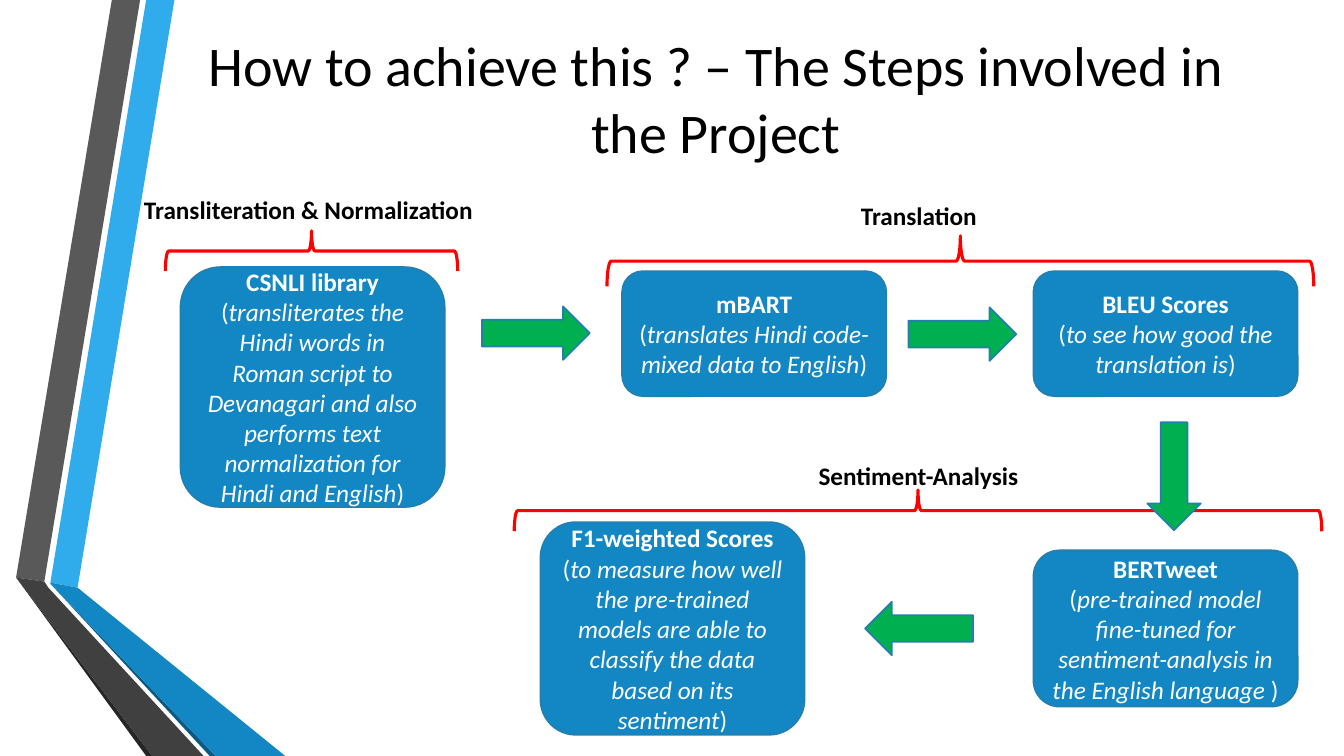
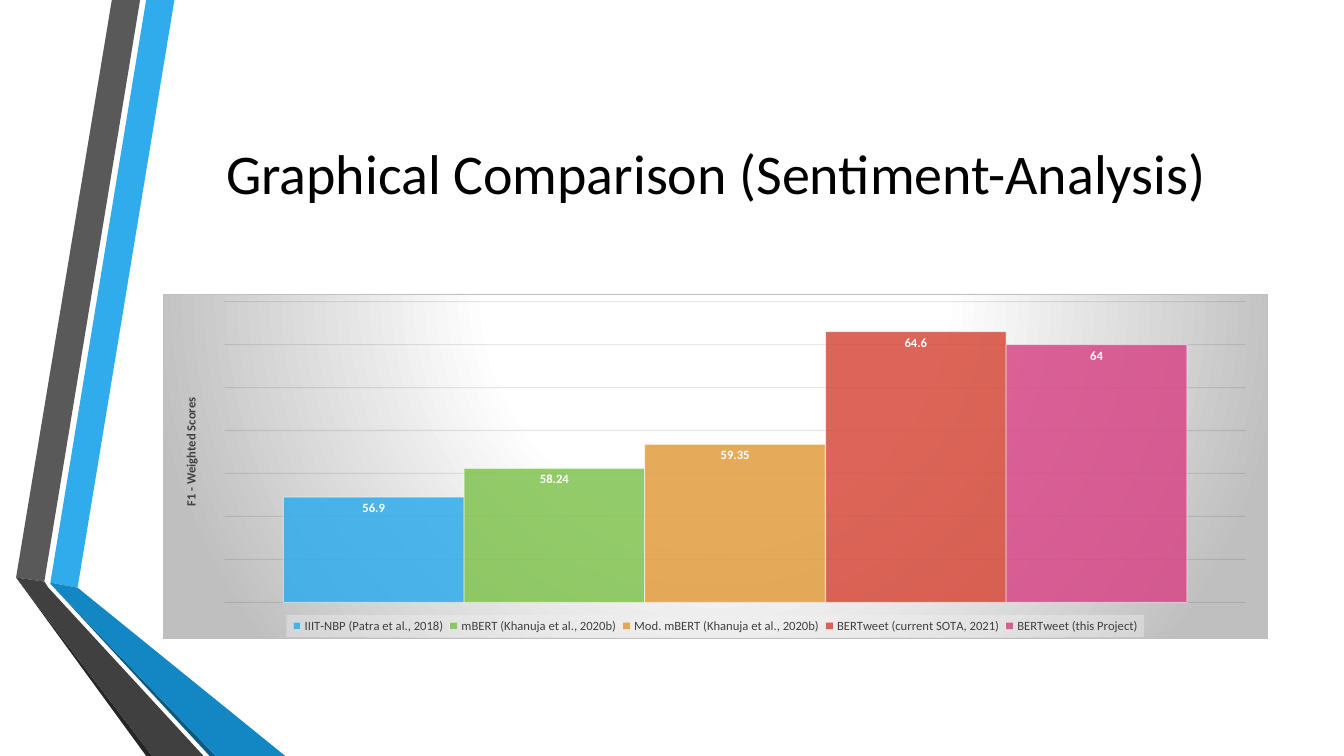
import pptx
import pptx.chart.data
import pptx.dml.color
import pptx.enum.chart
import pptx.enum.shapes
import pptx.enum.text
import pptx.oxml
import pptx.oxml.ns
import pptx.util
from pptx.util import Inches

RGBColor = pptx.dml.color.RGBColor
Shape = pptx.enum.shapes.MSO_SHAPE
Align = pptx.enum.text.PP_ALIGN
qn = pptx.oxml.ns.qn

BLACK = RGBColor(0x00, 0x00, 0x00)
WHITE = RGBColor(0xFF, 0xFF, 0xFF)
CHARCOAL = RGBColor(0x40, 0x40, 0x40)
NEAR_BLACK = RGBColor(0x0D, 0x0D, 0x0D)
DARK_GREY = RGBColor(0x26, 0x26, 0x26)
MID_GREY = RGBColor(0x59, 0x59, 0x59)
SKY = RGBColor(0x30, 0xAC, 0xEC)
BLUE = RGBColor(0x12, 0x87, 0xC3)
NAVY = RGBColor(0x0C, 0x5A, 0x82)
OUTLINE = RGBColor(0x24, 0x7F, 0xAF)
GREEN = RGBColor(0x00, 0xB0, 0x50)
RED = RGBColor(0xFF, 0x00, 0x00)
LIME = RGBColor(0x80, 0xC3, 0x4F)
ORANGE = RGBColor(0xE2, 0x9D, 0x3E)
BRICK = RGBColor(0xD6, 0x4A, 0x3B)
PINK = RGBColor(0xD6, 0x47, 0x87)

FONT = "Calibri"
TITLE_FORMAT = {"size": pptx.util.Pt(40)}
BOLD_FORMAT = {"size": pptx.util.Pt(18), "bold": True}
PLAIN_FORMAT = {"size": pptx.util.Pt(18)}
ITALIC_FORMAT = {"size": pptx.util.Pt(18), "italic": True}

RIBBONS = [
    (SKY, [(0.5, 5.78), (0.77, 5.83), (1.73, 0), (1.45, 0)]),
    (MID_GREY, [(1.39, 0), (1.11, 0), (0.16, 5.73), (0.44, 5.77)]),
    (DARK_GREY, [(0.16, 5.73), (1.45, 7.5), (1.51, 7.5)]),
    (NAVY, [(0.5, 5.79), (2.08, 7.5), (2.14, 7.5)]),
    (BLUE, [(0.5, 5.79), (2.14, 7.5), (2.83, 7.5), (0.77, 5.83), (0.5, 5.78)]),
    (CHARCOAL, [(2.02, 7.5), (0.48, 5.83), (0.44, 5.77), (0.16, 5.73), (1.51, 7.5)]),
]
CONTENT_LEFT, CONTENT_WIDTH = Inches(1.62), Inches(10.96)


def paint(shape, fill=None, line=None, weight=1.25):
    """Give a shape a flat fill and outline; None leaves that part empty."""
    shape.shadow.inherit = False
    if fill is None:
        shape.fill.background()
    else:
        shape.fill.solid()
        shape.fill.fore_color.rgb = fill
    if line is None:
        shape.line.fill.background()
    else:
        shape.line.color.rgb = line
        shape.line.width = pptx.util.Pt(weight)


def write(frame, lines, color, align):
    """Write lines, each a list of (text, format values) spans."""
    for index, spans in enumerate(lines):
        para = frame.paragraphs[0] if index == 0 else frame.add_paragraph()
        para.alignment = align
        for text, values in spans:
            span = para.add_run()
            span.text = text
            span.font.name = FONT
            span.font.color.rgb = color
            for name, value in values.items():
                setattr(span.font, name, value)


deck = pptx.Presentation()
deck.slide_width, deck.slide_height = Inches(13.33), Inches(7.5)

# Shared ribbons and titles
pages = []
for title, top in [
    ("How to achieve this ? – The Steps involved in the Project", 0.01),
    ("Graphical Comparison (Sentiment-Analysis)", 0.75),
]:
    page = deck.slides.add_slide(deck.slide_layouts[6])
    for color, corners in RIBBONS:
        points = [(Inches(x), Inches(y)) for x, y in corners]
        outline = page.shapes.build_freeform(*points[0], scale=1.0)
        outline.add_line_segments(points[1:], close=True)
        paint(outline.convert_to_shape(), color)
    box = page.shapes.add_textbox(CONTENT_LEFT, Inches(top), CONTENT_WIDTH, Inches(1.92))
    box.text_frame.word_wrap = True
    box.text_frame.vertical_anchor = pptx.enum.text.MSO_ANCHOR.MIDDLE
    write(box.text_frame, [[(title, TITLE_FORMAT)]], BLACK, Align.CENTER)
    pages.append(page)
steps_page, chart_page = pages

# Steps of the project
for left, top, height, name, detail in [
    (6.17, 2.69, 1.24, "mBART", "translates Hindi code-mixed data to English"),
    (1.79, 2.65, 2.38, "CSNLI library",
     "transliterates the Hindi words in Roman script to Devanagari and also "
     "performs text normalization for Hindi and English"),
    (10.25, 2.69, 1.24, "BLEU Scores", "to see how good the translation is"),
    (10.25, 5.46, 1.55, "BERTweet",
     "pre-trained model fine-tuned for sentiment-analysis in the English language "),
    (5.36, 5.18, 2.11, "F1-weighted Scores",
     "to measure how well the pre-trained models are able to classify the data "
     "based on its sentiment"),
]:
    step = steps_page.shapes.add_shape(
        Shape.ROUNDED_RECTANGLE, Inches(left), Inches(top), Inches(2.62), Inches(height))
    paint(step, BLUE, OUTLINE)
    step.text_frame.word_wrap = True
    step.text_frame.vertical_anchor = pptx.enum.text.MSO_ANCHOR.MIDDLE
    description = [("(", PLAIN_FORMAT), (detail, ITALIC_FORMAT), (")", PLAIN_FORMAT)]
    write(step.text_frame, [[(name, BOLD_FORMAT)], description], WHITE, Align.CENTER)

# Stage braces, given by their upright extent and turned to point up
for left, top, span_width, depth in [
    (1.64, 2.29, 2.9, 0.4),
    (5.1, 4.86, 8.01, 0.41),
    (6.02, 2.34, 7.01, 0.5),
]:
    shift = (span_width - depth) / 2
    brace = steps_page.shapes.add_shape(
        Shape.RIGHT_BRACE, Inches(left + shift), Inches(top - shift),
        Inches(depth), Inches(span_width))
    brace.rotation = 270
    paint(brace, line=RED, weight=2.25)

for left, top, width, label in [
    (1.33, 1.88, 3.66, "Transliteration & Normalization"),
    (8.44, 1.94, 1.43, "Translation"),
    (8.02, 4.52, 2.21, "Sentiment-Analysis"),
]:
    box = steps_page.shapes.add_textbox(
        Inches(left), Inches(top), Inches(width), Inches(0.4))
    box.text_frame.word_wrap = False
    write(box.text_frame, [[(label, BOLD_FORMAT)]], BLACK, Align.LEFT)

for kind, left, top, width, height, angle in [
    (Shape.RIGHT_ARROW, 4.78, 3.04, 1.07, 0.53, 0),
    (Shape.RIGHT_ARROW, 9.01, 3.05, 1.07, 0.53, 0),
    (Shape.RIGHT_ARROW, 8.58, 5.97, 1.07, 0.53, 180),
    (Shape.DOWN_ARROW, 11.38, 4.19, 0.53, 1.07, 0),
]:
    arrow = steps_page.shapes.add_shape(
        kind, Inches(left), Inches(top), Inches(width), Inches(height))
    arrow.rotation = angle
    paint(arrow, GREEN, OUTLINE)

# Chart of scores
scores = [
    ("IIIT-NBP (Patra et al., 2018)", 56.9, SKY),
    ("mBERT (Khanuja et al., 2020b)", 58.24, LIME),
    ("Mod. mBERT (Khanuja et al., 2020b)", 59.35, ORANGE),
    ("BERTweet (current SOTA, 2021)", 64.6, BRICK),
    ("BERTweet (this Project)", 64, PINK),
]
data = pptx.chart.data.CategoryChartData()
data.categories = ["1"]
for name, score, color in scores:
    data.add_series(name, [score])
chart = chart_page.shapes.add_chart(
    pptx.enum.chart.XL_CHART_TYPE.COLUMN_CLUSTERED,
    CONTENT_LEFT, Inches(2.92), CONTENT_WIDTH, Inches(3.42), data).chart
chart.has_title = False
chart.font.name = FONT
chart.font.size = pptx.util.Pt(10)
chart.font.color.rgb = BLACK
plot = chart.plots[0]
plot.gap_width, plot.overlap, plot.vary_by_categories = 65, 0, False

chart.category_axis.visible = False
axis = chart.value_axis
axis.visible = False
axis.minimum_scale, axis.maximum_scale, axis.major_unit = 52, 66, 2
axis.has_major_gridlines = True
grid_line = axis.major_gridlines.format.line
grid_line.color.rgb = NEAR_BLACK
grid_line.width = pptx.util.Pt(0.75)
translucent = [(axis.major_gridlines.format.line.color.rgb, axis._element, [10])]

for series, (name, score, color) in zip(plot.series, scores):
    series.format.fill.solid()
    series.format.fill.fore_color.rgb = color
    series.format.line.color.rgb = WHITE
    series.format.line.width = pptx.util.Pt(0.75)
    translucent.append((color, series._element, [85, 50]))

for color, element, opacities in translucent:
    for node, opacity in zip(element.iter(qn("a:srgbClr")), opacities):
        alpha = node.makeelement(qn("a:alpha"), {"val": str(opacity * 1000)})
        node.append(alpha)

axis.axis_title.text_frame.text = "F1 - Weighted Scores"
chart.has_legend = True
legend = chart.legend
legend.position = pptx.enum.chart.XL_LEGEND_POSITION.BOTTOM
legend.include_in_layout = False
chart_fonts = [
    (axis.axis_title.text_frame.paragraphs[0].runs[0].font, CHARCOAL, True),
    (legend.font, CHARCOAL, False),
]
for series in plot.series:
    labels = series.data_labels
    labels.show_value = True
    labels.position = pptx.enum.chart.XL_LABEL_POSITION.INSIDE_END
    chart_fonts.append((labels.font, WHITE, True))
for font, color, bold in chart_fonts:
    font.color.rgb = color
    for name, value in {"name": FONT, "size": pptx.util.Pt(9), "bold": bold}.items():
        setattr(font, name, value)

# Chart layout, legend panel and radial background
NAMESPACES = pptx.oxml.ns.nsdecls("c", "a")
LAYOUT = (
    "<c:layout {ns}><c:manualLayout>{target}"
    '<c:xMode val="edge"/><c:yMode val="edge"/>'
    '<c:x val="{x}"/><c:y val="{y}"/><c:w val="{w}"/><c:h val="{h}"/>'
    "</c:manualLayout></c:layout>")
plot_area = chart.element.find(".//" + qn("c:plotArea"))
for old_layout in plot_area.findall(qn("c:layout")):
    plot_area.remove(old_layout)
plot_area.insert(0, pptx.oxml.parse_xml(LAYOUT.format(
    ns=NAMESPACES, target='<c:layoutTarget val="inner"/>', x=0.055, y=0.02, w=0.925, h=0.875)))
legend_node = chart.element.find(".//" + qn("c:legend"))
legend_node.find(qn("c:legendPos")).addnext(pptx.oxml.parse_xml(LAYOUT.format(
    ns=NAMESPACES, target="", x=0.111, y=0.935, w=0.777, h=0.065)))
legend_node.find(qn("c:overlay")).addnext(pptx.oxml.parse_xml(
    f'<c:spPr {NAMESPACES}><a:solidFill><a:srgbClr val="F2F2F2"><a:alpha val="39000"/>'
    "</a:srgbClr></a:solidFill></c:spPr>"))
stops = "".join(
    f'<a:gs pos="{place * 1000}"><a:srgbClr val="{color}"/></a:gs>'
    for place, color in [(0, "FFFFFF"), (39, "FFFFFF"), (100, "BFBFBF")])
chart.element.find(qn("c:chart")).addnext(pptx.oxml.parse_xml(
    f"<c:spPr {NAMESPACES}><a:gradFill><a:gsLst>{stops}</a:gsLst>"
    '<a:path path="circle"><a:fillToRect l="50000" t="-80000" r="50000" b="180000"/></a:path>'
    '</a:gradFill><a:ln w="9525"><a:solidFill><a:srgbClr val="BFBFBF"/></a:solidFill></a:ln>'
    "</c:spPr>"))

deck.save("out.pptx")
